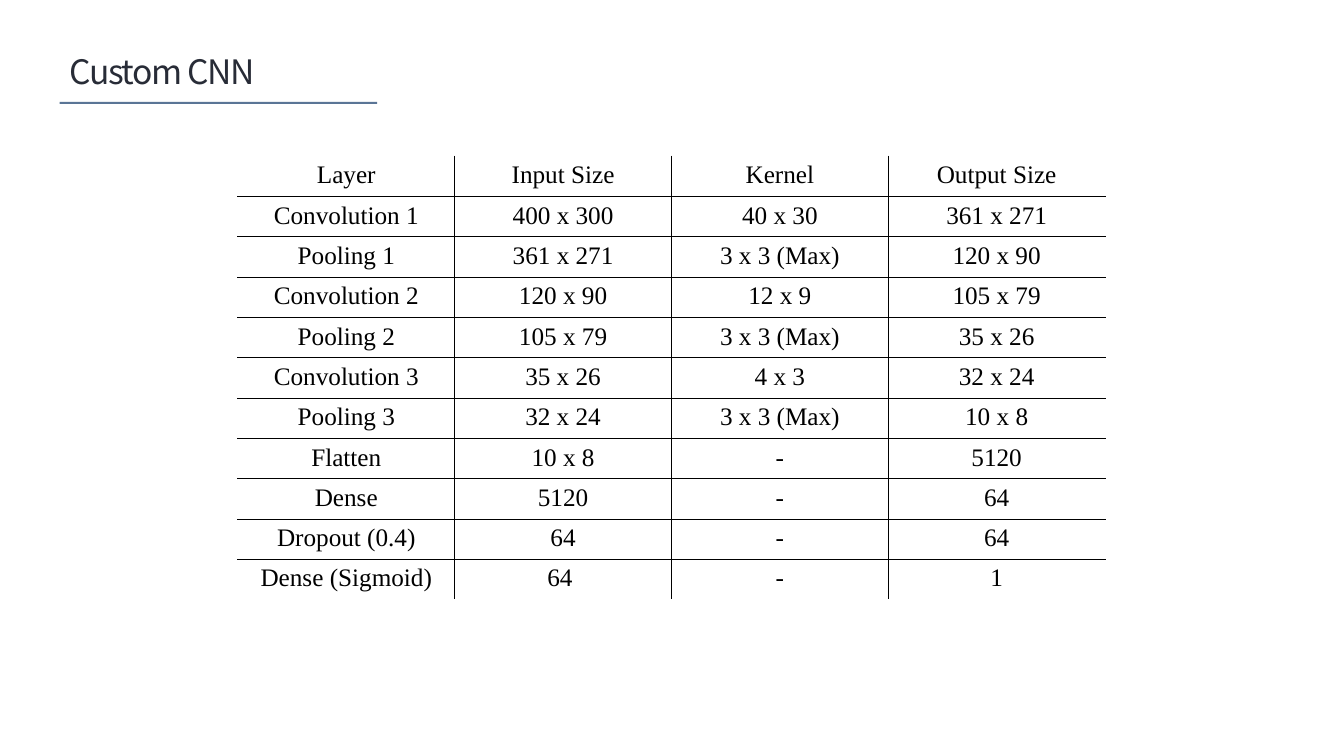
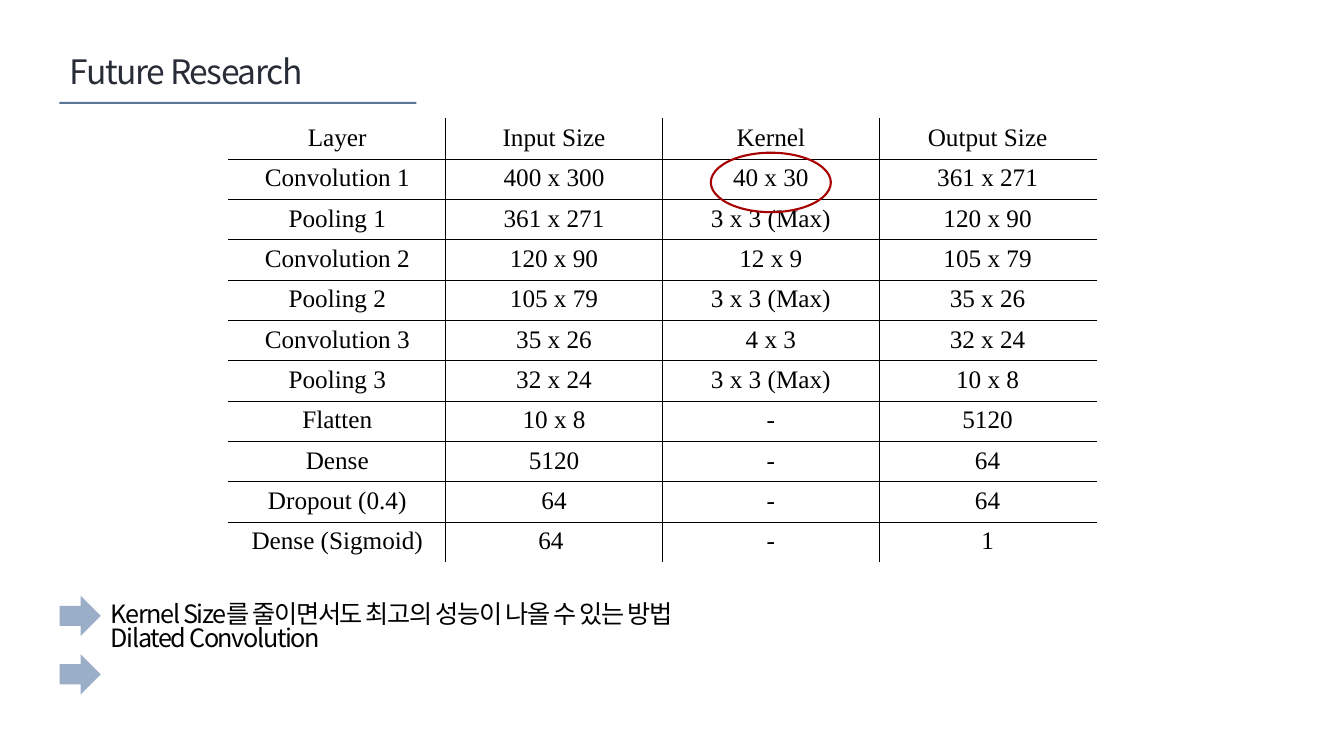
from pptx import Presentation
from pptx.dml.color import RGBColor
from pptx.enum.shapes import MSO_SHAPE
from pptx.enum.text import MSO_ANCHOR, MSO_AUTO_SIZE, PP_ALIGN
from pptx.oxml.ns import qn
from pptx.util import Inches, Pt
from lxml.etree import SubElement

# Shared look
WHITE = RGBColor(0xFF, 0xFF, 0xFF)
BLACK = RGBColor(0x00, 0x00, 0x00)
TITLE_INK = RGBColor(0x28, 0x2C, 0x37)
RULE_BLUE = RGBColor(0x5A, 0x75, 0x96)
ARROW_BLUE = RGBColor(0x9B, 0xAE, 0xC8)
MARK_RED = RGBColor(0xA7, 0x00, 0x00)
SANS, SERIF = "Noto Sans CJK KR", "Times New Roman"
LINE_SPACING = 0.8

# Grid, in inches
MARGIN = 0.59
COLUMN, ROW = 2.15, 0.4
ARROW_WIDTH, ARROW_HEIGHT, ARROW_STEP = 0.41, 0.4, 0.58

LAYERS = [
    ("Layer", "Input Size", "Kernel", "Output Size"),
    ("Convolution 1", "400 x 300", "40 x 30", "361 x 271"),
    ("Pooling 1", "361 x 271", "3 x 3 (Max)", "120 x 90"),
    ("Convolution 2", "120 x 90", "12 x 9", "105 x 79"),
    ("Pooling 2", "105 x 79", "3 x 3 (Max)", "35 x 26"),
    ("Convolution 3", "35 x 26", "4 x 3", "32 x 24"),
    ("Pooling 3", "32 x 24", "3 x 3 (Max)", "10 x 8"),
    ("Flatten", "10 x 8", "-", "5120"),
    ("Dense", "5120", "-", "64"),
    ("Dropout (0.4)", "64", "-", "64"),
    ("Dense (Sigmoid)", "64 ", "-", "1"),
]
IDEAS = ["Kernel Size를 줄이면서도 최고의 성능이 나올 수 있는 방법", "Dilated Convolution"]


def place(shape, left, top, width, height):
    shape.left, shape.top = Inches(left), Inches(top)
    shape.width, shape.height = Inches(width), Inches(height)


def add_run(paragraph, text, size, font, color):
    run = paragraph.add_run()
    run.text = text
    run.font.size, run.font.name = Pt(size), font
    run.font.color.rgb = color
    return run


def fill_placeholder(placeholder, lines, size, color):
    """Write left-aligned, unbulleted, tightly set lines."""
    frame = placeholder.text_frame
    frame.word_wrap = True
    frame.auto_size = MSO_AUTO_SIZE.NONE
    frame.vertical_anchor = MSO_ANCHOR.TOP
    for index, line in enumerate(lines):
        paragraph = frame.add_paragraph() if index else frame.paragraphs[0]
        paragraph.alignment = PP_ALIGN.LEFT
        paragraph.line_spacing = LINE_SPACING
        paragraph.space_before = Pt(0)
        properties = paragraph._p.get_or_add_pPr()
        properties.set("marL", "0")
        properties.set("indent", "0")
        SubElement(properties, qn("a:buNone"))
        letters = add_run(paragraph, line, size, SANS, color)._r.get_or_add_rPr()
        letters.set("spc", "-100")
        SubElement(letters, qn("a:ea")).set("typeface", SANS)


def add_solid(slide, kind, left, top, width, height, color):
    solid = slide.shapes.add_shape(kind, 0, 0, 0, 0)
    place(solid, left, top, width, height)
    solid.shadow.inherit = False
    solid.fill.solid()
    solid.fill.fore_color.rgb = color
    solid.line.fill.background()


def add_titled_slide(prs, layout, title, rule_width):
    slide = prs.slides.add_slide(prs.slide_layouts.get_by_name(layout))
    place(slide.shapes.title, MARGIN, 0.53, 3.64, 0.46)
    fill_placeholder(slide.shapes.title, [title], 24, TITLE_INK)
    add_solid(slide, MSO_SHAPE.RECTANGLE, MARGIN, 1.01, rule_width, 0.02, RULE_BLUE)
    return slide


def set_borders(cell, colors):
    properties = cell._tc.get_or_add_tcPr()
    for side, color in colors.items():
        line = SubElement(properties, qn(f"a:ln{side}"), w=str(Pt(1)))
        solid = SubElement(line, qn("a:solidFill"))
        SubElement(solid, qn("a:srgbClr"), val=str(color))


def add_layer_table(slide, left, top):
    """Black inner grid, with the outer edge left white."""
    last_row, last_column = len(LAYERS) - 1, len(LAYERS[0]) - 1
    table = slide.shapes.add_table(
        last_row + 1, last_column + 1, Inches(left), Inches(top),
        Inches(COLUMN * (last_column + 1)), Inches(ROW * (last_row + 1))).table
    table.first_row = table.horz_banding = False
    for r, layer in enumerate(LAYERS):
        for c, text in enumerate(layer):
            cell = table.cell(r, c)
            paragraph = cell.text_frame.paragraphs[0]
            paragraph.alignment = PP_ALIGN.CENTER
            add_run(paragraph, text, 18, SERIF, BLACK)
            set_borders(cell, {
                "L": BLACK if c > 0 else WHITE,
                "R": BLACK if c < last_column else WHITE,
                "T": BLACK if r > 0 else WHITE,
                "B": BLACK if r < last_row else WHITE,
            })
            cell.fill.background()


def circle_cell(slide, table_left, table_top, row, column):
    width, height, drop = 1.19, 0.59, 0.03
    ring = slide.shapes.add_shape(MSO_SHAPE.OVAL, 0, 0, 0, 0)
    place(ring, table_left + (column + 0.5) * COLUMN - width / 2,
          table_top + (row + 0.5) * ROW - height / 2 + drop, width, height)
    ring.shadow.inherit = False
    ring.fill.background()
    ring.line.color.rgb = MARK_RED
    ring.line.width = Pt(1.5)


def add_ideas(slide, top):
    """One arrow per idea; the first idea runs over two lines."""
    for index in range(len(IDEAS)):
        add_solid(slide, MSO_SHAPE.RIGHT_ARROW, MARGIN, top + index * ARROW_STEP,
                  ARROW_WIDTH, ARROW_HEIGHT, ARROW_BLUE)
    ideas = slide.placeholders[1]
    place(ideas, MARGIN + ARROW_WIDTH, top + 0.03, 5.9, ARROW_STEP + ARROW_HEIGHT)
    fill_placeholder(ideas, IDEAS, 18, BLACK)


def main():
    prs = Presentation()
    prs.slide_width, prs.slide_height = Inches(13.33), Inches(7.5)

    # Network layers
    network = add_titled_slide(prs, "Title Only", "Custom CNN", 3.15)
    add_layer_table(network, 2.36, 1.55)

    # Kernel to shrink, and how
    future = add_titled_slide(prs, "Title and Content", "Future Research", 3.54)
    add_layer_table(future, 2.27, 1.18)
    circle_cell(future, 2.27, 1.18, row=1, column=2)
    add_ideas(future, 5.91)

    prs.save("out.pptx")


if __name__ == "__main__":
    main()
